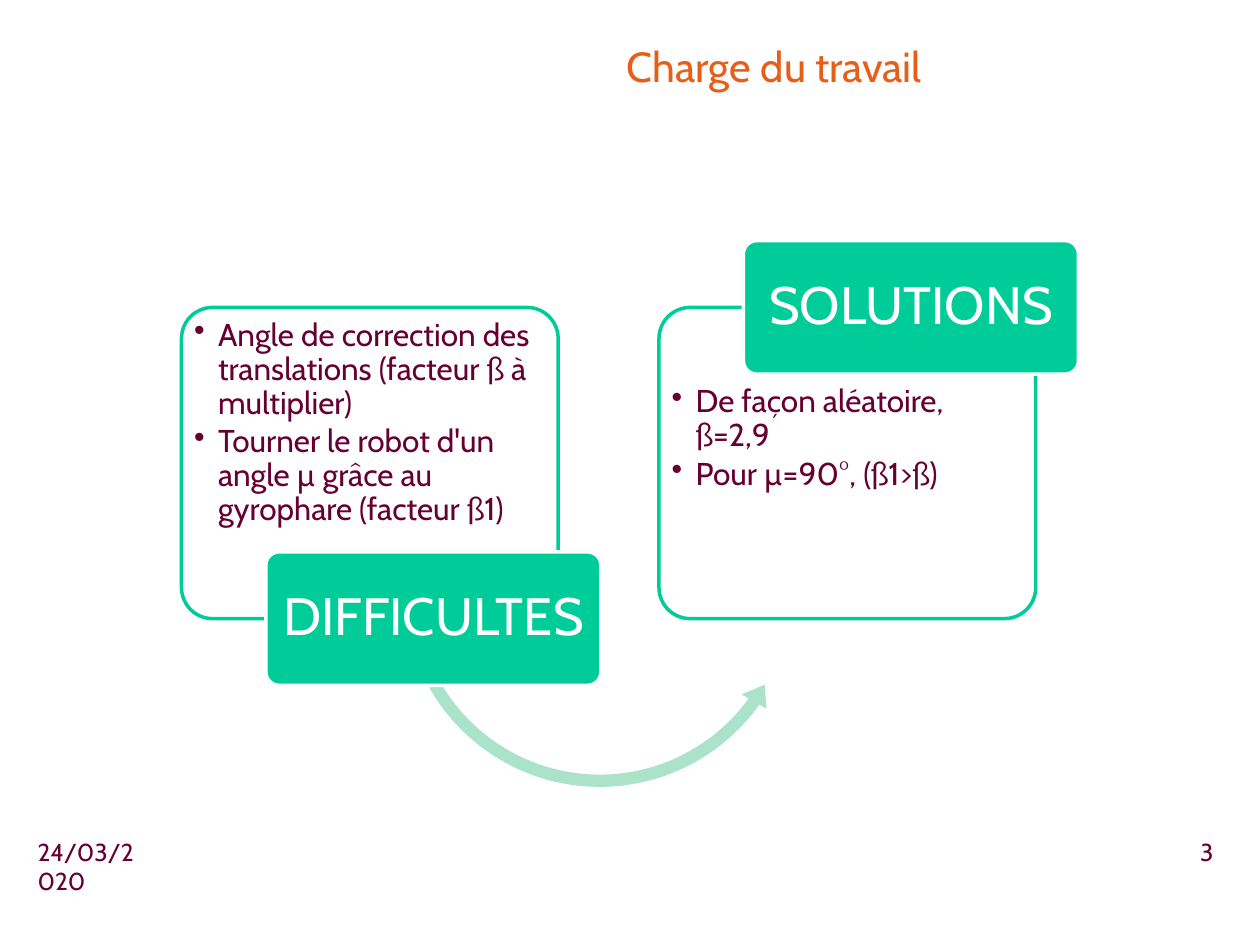
import pptx
import pptx.util
import pptx.dml.color
import pptx.enum.shapes
import pptx.enum.text
import pptx.oxml.ns
import lxml.etree

Inches = pptx.util.Inches
Pt = pptx.util.Pt
MSO_SHAPE = pptx.enum.shapes.MSO_SHAPE
PP_ALIGN = pptx.enum.text.PP_ALIGN
MSO_ANCHOR = pptx.enum.text.MSO_ANCHOR
qn = pptx.oxml.ns.qn

FONT = "Cabin"
GREEN, PLUM, WHITE = "00CC99", "660033", "FFFFFF"


def add_box(kind, left, top, width, height, fill, line=None):
    box = slide.shapes.add_shape(kind, Inches(left), Inches(top), Inches(width), Inches(height))
    box.shadow.inherit = False
    box.fill.solid()
    box.fill.fore_color.rgb = pptx.dml.color.RGBColor.from_string(fill)
    if line:
        box.line.color.rgb = pptx.dml.color.RGBColor.from_string(line)
        box.line.width = Pt(2)
        box.adjustments[0] = 0.1
    else:
        box.line.fill.background()
    return box


def format_text(shape, lines, size, color, align, anchor=MSO_ANCHOR.TOP, insets=(0.1, 0.05)):
    frame = shape.text_frame
    frame.word_wrap = True
    frame.vertical_anchor = anchor
    frame.margin_left = frame.margin_right = Inches(insets[0])
    frame.margin_top = frame.margin_bottom = Inches(insets[1])
    frame.text = "\n".join(lines)
    for paragraph in frame.paragraphs:
        paragraph.alignment = align
        font = paragraph.runs[0].font
        font.name = FONT
        font.size = Pt(size)
        font.color.rgb = pptx.dml.color.RGBColor.from_string(color)


presentation = pptx.Presentation()
presentation.slide_width = Inches(10)
presentation.slide_height = Inches(7.5)
slide = presentation.slides.add_slide(presentation.slide_layouts[5])

# Title
title = slide.shapes.title
title.left, title.top = Inches(2.72), Inches(0.21)
title.width, title.height = Inches(6.85), Inches(0.63)
format_text(title, ["Charge du travail"], 24, "E75E18", PP_ALIGN.CENTER, MSO_ANCHOR.MIDDLE)

# Cards: left edge, top of the body text, top of the label, label, bullets
cards = [
    (1.44, 2.49, 4.38, "DIFFICULTES", [
        "Angle de correction des translations (facteur ß à multiplier)",
        "Tourner le robot d'un angle µ grâce au gyrophare (facteur ß1)"]),
    (5.23, 3.02, 1.91, "SOLUTIONS", [
        "De façon aléatoire, ß=2,9",
        "Pour µ=90°, (ß1>ß)"]),
]
for index, (left, body_top, label_top, label, bullets) in enumerate(cards):
    # Outlined card with a slightly transparent fill
    card = add_box(MSO_SHAPE.ROUNDED_RECTANGLE, left, 2.44, 2.99, 2.47, WHITE, GREEN)
    fill_color = card.fill._xPr.find(qn("a:solidFill"))[0]
    lxml.etree.SubElement(fill_color, qn("a:alpha")).set("val", "90000")

    # Bulleted text
    body = slide.shapes.add_textbox(Inches(left + 0.06), Inches(body_top), Inches(2.88), Inches(1.83))
    format_text(body, bullets, 18, PLUM, PP_ALIGN.LEFT, insets=(0.04, 0.04))
    for paragraph in body.text_frame.paragraphs:
        paragraph.line_spacing = 0.9
        paragraph.space_after = Pt(2.7)
        properties = paragraph._p.get_or_add_pPr()
        properties.set("marL", str(Inches(0.19)))
        properties.set("indent", str(-Inches(0.19)))
        lxml.etree.SubElement(properties, qn("a:buChar")).set("char", "•")

    # Arrow from the first card, behind its label
    if index == 0:
        arrow = add_box(MSO_SHAPE.LEFT_CIRCULAR_ARROW, 3.14, 3.07, 3.24, 3.24, "ABE2CA")
        for position, value in enumerate([0.03, 3.628, 21.383, 90.245, 0.035]):
            arrow.adjustments[position] = value

    # Label
    label_left = left + 0.67
    add_box(MSO_SHAPE.ROUNDED_RECTANGLE, label_left, label_top, 2.66, 1.06, GREEN, WHITE)
    label_text = slide.shapes.add_textbox(
        Inches(label_left + 0.03), Inches(label_top + 0.03), Inches(2.6), Inches(1))
    format_text(label_text, [label], 30, WHITE, PP_ALIGN.CENTER, MSO_ANCHOR.MIDDLE, (0.06, 0.04))
    label_text.text_frame.paragraphs[0].line_spacing = 0.9

# Footer: date and slide number
for left, width, text, align in [(0.2, 1.1, "24/03/2020", PP_ALIGN.LEFT),
                                 (8.75, 0.98, "3", PP_ALIGN.RIGHT)]:
    footer = slide.shapes.add_textbox(Inches(left), Inches(6.59), Inches(width), Inches(0.31))
    format_text(footer, [text], 14, PLUM, align)

presentation.save("out.pptx")
